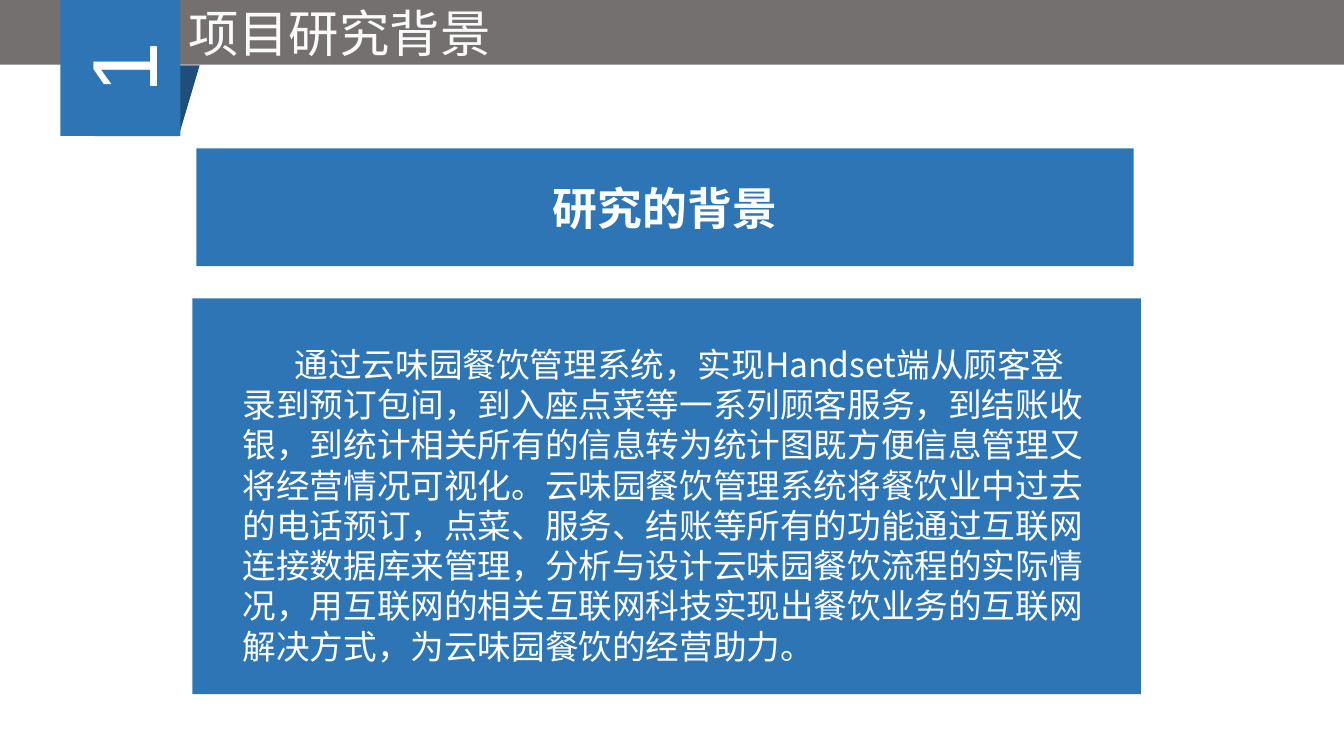
from dataclasses import dataclass

from lxml.etree import SubElement
from pptx import Presentation
from pptx.dml.color import RGBColor
from pptx.enum.shapes import MSO_SHAPE
from pptx.enum.text import MSO_ANCHOR, MSO_AUTO_SIZE, PP_ALIGN
from pptx.oxml.ns import qn
from pptx.util import Cm, Pt


@dataclass(frozen=True)
class Theme:
    blue: RGBColor = RGBColor(0x2E, 0x75, 0xB5)
    fold: RGBColor = RGBColor(0x1E, 0x4E, 0x79)
    gray: RGBColor = RGBColor(0x75, 0x70, 0x70)
    white: RGBColor = RGBColor(0xFF, 0xFF, 0xFF)
    title_white: RGBColor = RGBColor(0xFA, 0xFA, 0xFA)
    latin: str = "Arial"
    chinese: str = "Noto Sans CJK SC"
    number_size: Pt = Pt(66)
    title_size: Pt = Pt(36)
    heading_size: Pt = Pt(32)
    body_size: Pt = Pt(24)
    body_spacing: Pt = Pt(28.8)


theme = Theme()
presentation = Presentation()
presentation.slide_width = Cm(33.87)
presentation.slide_height = Cm(19.05)
slide = presentation.slides.add_slide(presentation.slide_layouts[5])


def add_block(kind, left, top, width, height, color, rotation=0):
    shape = slide.shapes.add_shape(kind, Cm(left), Cm(top), Cm(width), Cm(height))
    shape.rotation = rotation
    shape.shadow.inherit = False
    shape.fill.solid()
    shape.fill.fore_color.rgb = color
    shape.line.fill.background()
    return shape


def write_text(shape, text, size, font, color=theme.white, bold=False,
               alignment=PP_ALIGN.CENTER, anchor=MSO_ANCHOR.MIDDLE):
    frame = shape.text_frame
    frame.word_wrap = True
    frame.auto_size = MSO_AUTO_SIZE.NONE
    frame.vertical_anchor = anchor
    paragraph = frame.paragraphs[0]
    paragraph.alignment = alignment
    run = paragraph.add_run()
    run.text = text
    run.font.size = size
    run.font.bold = bold
    run.font.color.rgb = color
    run.font.name = font
    east_asian = SubElement(run.font._element, qn("a:ea"))
    east_asian.set("typeface", theme.chinese)
    return paragraph


add_block(MSO_SHAPE.RECTANGLE, 0, -0.03, 33.87, 1.66, theme.gray)
add_block(MSO_SHAPE.FLOWCHART_DATA, 2.39, 1.65, 2.64, 1.78, theme.fold, 180)
number_tab = add_block(MSO_SHAPE.RECTANGLE, 1.32, 0.2, 3.43, 3.02, theme.blue, 270)
write_text(number_tab, "1", theme.number_size, theme.latin)

title = slide.shapes.title
title.left, title.top, title.width, title.height = Cm(4.22), Cm(-0.08), Cm(8.66), Cm(1.78)
write_text(title, "项目研究背景", theme.title_size, theme.latin, theme.title_white)
title.element.getparent().append(title.element)

heading = add_block(MSO_SHAPE.RECTANGLE, 4.95, 3.74, 23.62, 2.97, theme.blue)
write_text(heading, "研究的背景", theme.heading_size, theme.chinese, bold=True)

add_block(MSO_SHAPE.RECTANGLE, 4.85, 7.52, 23.9, 9.97, theme.blue)
body = slide.shapes.add_textbox(Cm(5.87), Cm(8.53), Cm(21.77), Cm(8.46))
body_text = (
    "通过云味园餐饮管理系统，实现Handset端从顾客登录到预订包间，到入座点菜等一系列顾客服务，"
    "到结账收银，到统计相关所有的信息转为统计图既方便信息管理又将经营情况可视化。"
    "云味园餐饮管理系统将餐饮业中过去的电话预订，点菜、服务、结账等所有的功能通过互联网连接数据库来管理，"
    "分析与设计云味园餐饮流程的实际情况，用互联网的相关互联网科技实现出餐饮业务的互联网解决方式，"
    "为云味园餐饮的经营助力。"
)
body_paragraph = write_text(body, body_text, theme.body_size, theme.chinese,
                            alignment=PP_ALIGN.LEFT, anchor=MSO_ANCHOR.TOP)
body_paragraph.line_spacing = theme.body_spacing
body_paragraph._p.get_or_add_pPr().set("indent", str(Cm(1.31)))

presentation.save("out.pptx")
